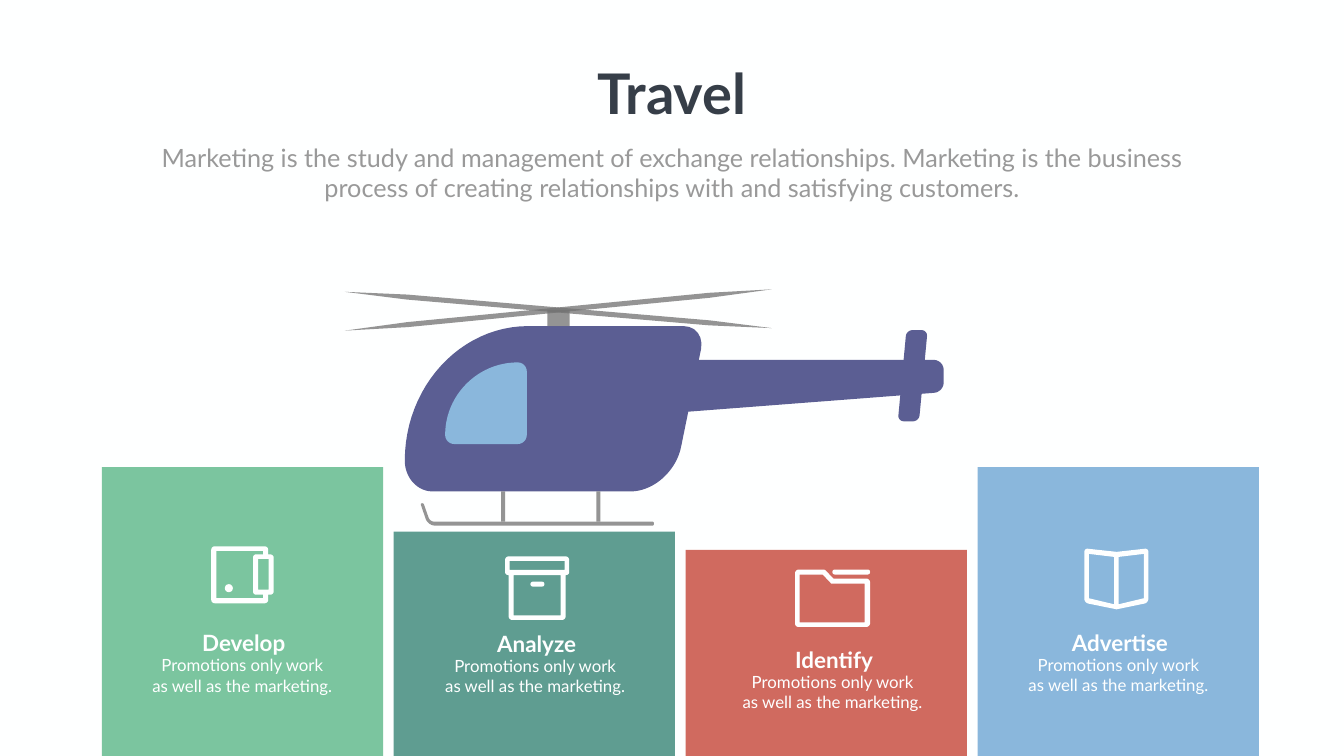
from math import dist

from lxml.etree import SubElement
from pptx import Presentation
from pptx.dml.color import RGBColor
from pptx.enum.shapes import MSO_SHAPE as Preset
from pptx.enum.text import MSO_AUTO_SIZE as AutoSize, PP_ALIGN as Align
from pptx.oxml.ns import qn
from pptx.util import Cm, Pt

WHITE = RGBColor(0xFE, 0xFF, 0xFF)
INDIGO = RGBColor(0x5B, 0x5E, 0x93)
BLUE = RGBColor(0x8A, 0xB7, 0xDC)
GREEN = RGBColor(0x7B, 0xC5, 0x9F)
TEAL = RGBColor(0x5F, 0x9D, 0x91)
RED = RGBColor(0xD0, 0x6A, 0x5F)
METAL = RGBColor(0x73, 0x73, 0x73)
DARK = RGBColor(0x36, 0x3E, 0x48)
GRAY = RGBColor(0x99, 0x99, 0x99)

SLIDE_WIDTH, SLIDE_HEIGHT = 26.66, 15
CARD_LEFT, CARD_STEP, CARD_WIDTH = 2.02, 5.79, 5.58
CARD_TEXT = ("Promotions only work", "as well as the marketing.")
# title, colour, card top, centre of the text, top of the text
CARDS = [
    ("Develop", GREEN, 9.27, 4.8, 12.44),
    ("Analyze", TEAL, 10.55, 10.61, 12.45),
    ("Identify", RED, 10.91, 16.51, 12.77),
    ("Advertise", BLUE, 9.27, 22.18, 12.43),
]


def inches(value):
    return Cm(value * 2.54)


def box(left, top, right, bottom):
    return [(left, top), (right, top), (right, bottom), (left, bottom)]


def rounded(corners):
    """Turn corners (x, y[, radius[, radius after]]) into the points of a smooth outline."""
    points = []
    for index, (x, y, *radii) in enumerate(corners):
        if not radii:
            points.append((x, y))
            continue
        neighbours = corners[index - 1], corners[(index + 1) % len(corners)]
        ends = []
        for (nx, ny, *_), radius in zip(neighbours, (radii[0], radii[-1])):
            share = radius / dist((x, y), (nx, ny))
            ends.append((x + (nx - x) * share, y + (ny - y) * share))
        steps = 24 if max(radii) > 0.5 else 6
        for step in range(steps + 1):
            t = step / steps
            # Cubic curve whose handles reach 55 % of the way to the corner
            first = (1 - t) ** 3 + 1.35 * t * (1 - t) ** 2
            last = t ** 3 + 1.35 * t ** 2 * (1 - t)
            points.append(tuple(first * a + last * b + (1 - first - last) * c
                                for a, b, c in zip(*ends, (x, y))))
    return points


def blade(left_y, right_y):
    """Corners of a thin rotor blade between two tips."""
    hub, bend, half = 6.15, 0.29, 0.05
    near_left = left_y + (hub - left_y) * bend
    near_right = right_y + (hub - right_y) * bend
    spine = [(8.08, near_left), (11.07, hub), (14.07, near_right)]
    upper = [(x, y - half) for x, y in spine]
    lower = [(x, y + half) for x, y in reversed(spine)]
    return [(6.84, left_y), *upper, (15.31, right_y), *lower]


class SlideBuilder:
    font = "Lato"

    def __init__(self, slide):
        self.slide = slide
        slide.background.fill.solid()
        slide.background.fill.fore_color.rgb = WHITE

    def paint(self, shape, color, opacity=100):
        shape.shadow.inherit = False
        shape.fill.solid()
        shape.fill.fore_color.rgb = color
        shape.line.fill.background()
        if opacity < 100:
            fill_color = shape.fill._xPr.find(qn("a:solidFill"))[0]
            SubElement(fill_color, qn("a:alpha"), val=str(opacity * 1000))

    def preset(self, kind, left, top, width, height, color, opacity=100):
        shape = self.slide.shapes.add_shape(
            kind, *map(inches, (left, top, width, height)))
        self.paint(shape, color, opacity)
        return shape

    def pill(self, left, top, width, height, color):
        self.preset(Preset.ROUNDED_RECTANGLE, left, top, width, height, color).adjustments[0] = 0.5

    def outline(self, color, *contours, opacity=100):
        """Draw one closed shape; contours after the first are holes."""
        builder = None
        for corners in contours:
            start, *rest = [(inches(x), inches(y)) for x, y in rounded(corners)]
            if builder is None:
                builder = self.slide.shapes.build_freeform(*start)
            else:
                builder.move_to(*start)
            builder.add_line_segments(rest, close=True)
        self.paint(builder.convert_to_shape(), color, opacity)

    def text(self, left, top, width, height, lines, size, color, bold=False, wrap=True):
        frame = self.slide.shapes.add_textbox(
            *map(inches, (left, top, width, height))).text_frame
        frame.word_wrap = wrap
        frame.auto_size = AutoSize.SHAPE_TO_FIT_TEXT
        frame.text = "\n".join(lines)
        for paragraph in frame.paragraphs:
            paragraph.alignment = Align.CENTER
            font = paragraph.font
            font.name, font.size, font.bold = self.font, Pt(size), bold
            font.color.rgb = color


def draw_helicopter(builder):
    builder.outline(INDIGO, [(8.03, 6.47, 2.67, 2.45), (14, 6.47, 0.44, 0.47),
                             (13.33, 9.75, 0.9, 0.82), (8.03, 9.75, 0.55, 0.61)])
    builder.outline(BLUE, [(8.83, 7.19, 1.44), (10.45, 7.19, 0.18),
                           (10.45, 8.81, 0.18), (8.83, 8.81, 0.18)])
    builder.outline(INDIGO, [(12.85, 7.14, 0.2), (18.72, 7.14, 0.2),
                             (18.72, 7.78, 0.19), (12.85, 8.23, 0.2)])
    builder.outline(INDIGO, [(17.98, 6.55, 0.12), (18.4, 6.55, 0.12),
                             (18.23, 8.36, 0.12), (17.81, 8.36, 0.12)])
    for left in (9.94, 11.83):
        builder.preset(Preset.RECTANGLE, left, 9.75, 0.08, 0.6, METAL, 76)
    skid = [(8.34, 9.99, 0.03), (8.4, 9.98, 0.03), (8.53, 10.35, 0.08),
            (12.97, 10.35, 0.03), (12.97, 10.43, 0.03), (8.49, 10.43, 0.14)]
    builder.outline(METAL, skid, opacity=76)
    builder.preset(Preset.RECTANGLE, 10.86, 6.15, 0.44, 0.32, METAL, 76)
    for tips in ((6.56, 5.74), (5.79, 6.51)):
        builder.outline(METAL, blade(*tips), opacity=76)


def draw_icons(builder):
    wallet = [(4.19, 10.84, 0.07), (5.32, 10.84, 0.07), (5.32, 11), (5.43, 11, 0.07),
              (5.43, 11.8, 0.07), (5.32, 11.8), (5.32, 11.97, 0.07), (4.19, 11.97, 0.07)]
    pocket = [(4.29, 10.93), (5.22, 10.93), (5.22, 11), (5.02, 11, 0.06),
              (5.02, 11.8, 0.06), (5.22, 11.8), (5.22, 11.87), (4.29, 11.87)]
    builder.outline(WHITE, wallet, pocket, box(5.12, 11.09, 5.33, 11.7))
    builder.preset(Preset.OVAL, 4.46, 11.59, 0.16, 0.16, WHITE)

    crate = [(10.02, 11.04, 0.07), (11.29, 11.04, 0.07), (11.29, 11.41, 0.06), (11.22, 11.41),
             (11.22, 12.3, 0.07), (10.09, 12.3, 0.07), (10.09, 11.41), (10.02, 11.41, 0.06)]
    builder.outline(WHITE, crate, box(10.11, 11.13, 11.2, 11.31), box(10.19, 11.41, 11.12, 12.21))
    builder.pill(10.52, 11.54, 0.28, 0.1, WHITE)

    folder = [(15.77, 11.3, 0.08), (16.36, 11.3, 0.03), (16.53, 11.48),
              (17.26, 11.48, 0.08), (17.26, 12.44, 0.08), (15.77, 12.44, 0.07)]
    inside = [(15.86, 11.4), (16.32, 11.4), (16.49, 11.58),
              (17.15, 11.58), (17.15, 12.35), (15.86, 12.35)]
    builder.outline(WHITE, folder, inside)
    builder.pill(16.51, 11.3, 0.75, 0.1, WHITE)

    book = [(21.51, 10.88, 0.07), (22.15, 10.95), (22.78, 10.88, 0.07),
            (22.78, 11.96, 0.08), (22.15, 12.09), (21.51, 11.96, 0.08)]
    pages = [[(edge, 10.99), (fold, 11.05), (fold, 11.99), (edge, 11.87)]
             for edge, fold in ((21.6, 22.1), (22.69, 22.19))]
    builder.outline(WHITE, book, *pages)


def main():
    presentation = Presentation()
    presentation.slide_width = inches(SLIDE_WIDTH)
    presentation.slide_height = inches(SLIDE_HEIGHT)
    builder = SlideBuilder(presentation.slides.add_slide(presentation.slide_layouts[6]))

    draw_helicopter(builder)
    for index, (_, color, top, _, _) in enumerate(CARDS):
        builder.preset(Preset.RECTANGLE, CARD_LEFT + index * CARD_STEP, top,
                       CARD_WIDTH, SLIDE_HEIGHT - top, color)
    draw_icons(builder)

    builder.text(11.65, 1.11, 3.36, 1.45, ["Travel"], 80, DARK, bold=True, wrap=False)
    builder.text(2.68, 2.77, 21.3, 1.31, [
        "Marketing is the study and management of exchange relationships. Marketing is "
        "the business process of creating relationships with and satisfying customers."], 36, GRAY)
    for title, _, _, center, top in CARDS:
        builder.text(center - 1.22, top, 2.51, 0.64, [title], 32, WHITE, bold=True)
        builder.text(center - 1.93, top + 0.51, 3.87, 0.91, CARD_TEXT, 24, WHITE)

    presentation.save("out.pptx")


if __name__ == "__main__":
    main()
